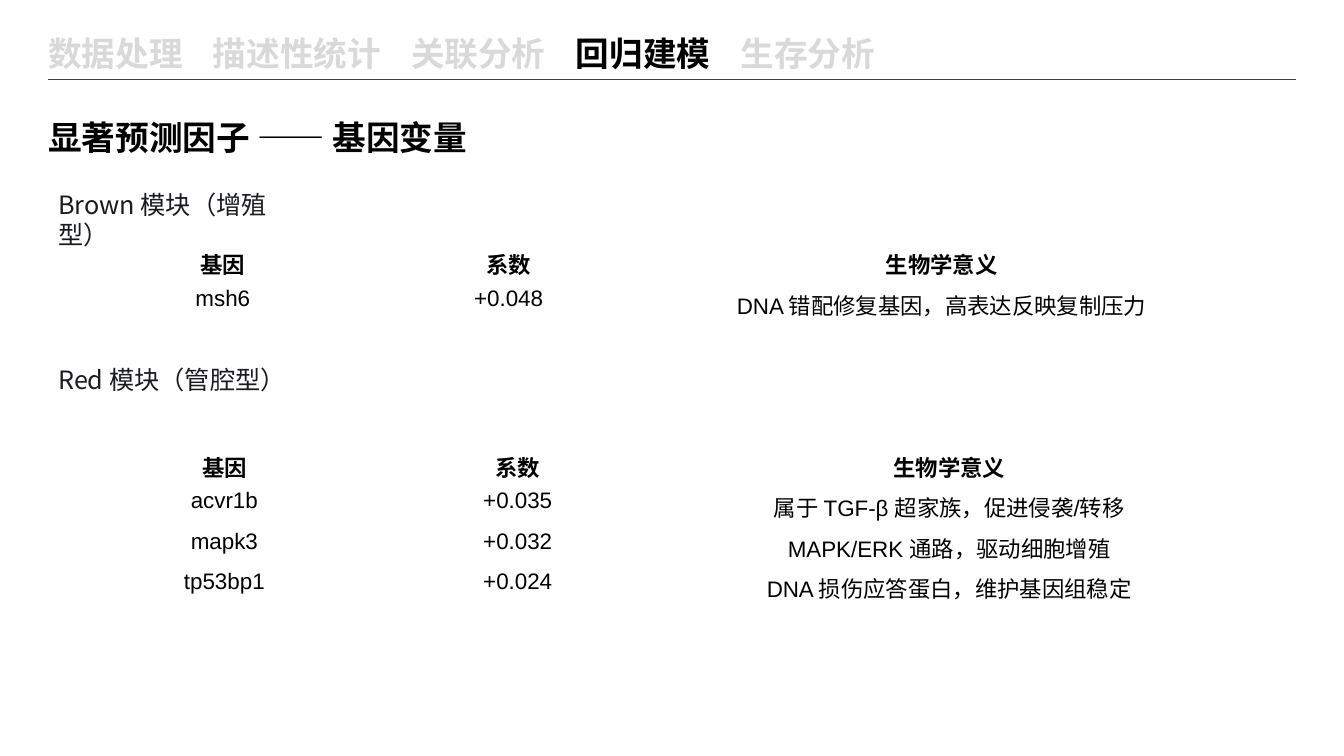
import pptx
import pptx.dml.color
import pptx.enum.shapes
import pptx.enum.text
import pptx.oxml.ns
import pptx.util
import lxml.etree

Inches = pptx.util.Inches
BLACK = pptx.dml.color.RGBColor(0x00, 0x00, 0x00)
INACTIVE = pptx.dml.color.RGBColor(0xD9, 0xD9, 0xD9)
RULE = pptx.dml.color.RGBColor(0x40, 0x40, 0x40)
LABEL = pptx.dml.color.RGBColor(0x19, 0x1B, 0x1F)
LATIN_FONT = "Arial"
CHINESE_FONT = "Noto Sans CJK SC"


def add_span(para, text, size, color, bold=False, font=LATIN_FONT):
    span = para.add_run()
    span.text = text
    span.font.size = pptx.util.Pt(size)
    span.font.bold = bold
    span.font.name = font
    span.font.color.rgb = color
    east_asian = lxml.etree.SubElement(span.font._element, pptx.oxml.ns.qn("a:ea"))
    east_asian.set("typeface", CHINESE_FONT)


def add_box(page, left, top, width, height):
    box = page.shapes.add_textbox(Inches(left), Inches(top), Inches(width), Inches(height))
    box.text_frame.word_wrap = True
    return box.text_frame.paragraphs[0]


deck = pptx.Presentation()
deck.slide_width = Inches(13.33)
deck.slide_height = Inches(7.5)
page = deck.slides.add_slide(deck.slide_layouts[5])

# Section navigation, spaced by tab stops
sections = ["数据处理", "描述性统计", "关联分析", "回归建模", "生存分析"]
active_section = "回归建模"
para = add_box(page, 0.38, 0.28, 12.56, 0.5)
tab_list = lxml.etree.SubElement(para._p.get_or_add_pPr(), pptx.oxml.ns.qn("a:tabLst"))
tab_position = 0
for index, section in enumerate(sections):
    if index:
        tab = lxml.etree.SubElement(tab_list, pptx.oxml.ns.qn("a:tab"))
        tab.set("pos", str(Inches(tab_position)))
        tab.set("algn", "l")
        add_span(para, "\t", 24, INACTIVE, bold=True)
    color = BLACK if section == active_section else INACTIVE
    add_span(para, section, 24, color, bold=True)
    tab_position += len(section) * 24 / 72 + 0.3

# Rule under the navigation
rule = page.shapes.add_connector(
    pptx.enum.shapes.MSO_CONNECTOR.STRAIGHT,
    Inches(0.48), Inches(0.79), Inches(12.85), Inches(0.79))
rule.line.color.rgb = RULE
rule.line.width = pptx.util.Pt(1.25)
lxml.etree.SubElement(rule._element.spPr, pptx.oxml.ns.qn("a:effectLst"))

# Title
title = page.shapes.title
title.left, title.top = Inches(0.38), Inches(1.11)
title.width, title.height = Inches(7.58), Inches(0.5)
title.text_frame.auto_size = pptx.enum.text.MSO_AUTO_SIZE.NONE
title.text_frame.vertical_anchor = pptx.enum.text.MSO_ANCHOR.TOP
para = title.text_frame.paragraphs[0]
para.alignment = pptx.enum.text.PP_ALIGN.LEFT
add_span(para, "显著预测因子 —— 基因变量", 24, BLACK, bold=True)

# Gene modules: label, label top, table top, column widths, genes
header = ("基因", "系数", "生物学意义")
modules = [
    ("Brown 模块（增殖型）", 1.83, 2.3, (2.88, 2.79, 5.8), [
        ("msh6", "+0.048", "DNA 错配修复基因，高表达反映复制压力"),
    ]),
    ("Red 模块（管腔型）", 3.57, 4.31, (2.91, 2.91, 5.65), [
        ("acvr1b", "+0.035", "属于 TGF-β 超家族，促进侵袭/转移"),
        ("mapk3", "+0.032", "MAPK/ERK 通路，驱动细胞增殖"),
        ("tp53bp1", "+0.024", "DNA 损伤应答蛋白，维护基因组稳定"),
    ]),
]
row_height = 0.4
for label, label_top, table_top, widths, genes in modules:
    para = add_box(page, 0.48, label_top, 2.76, 0.4)
    add_span(para, label, 18, LABEL, font=CHINESE_FONT)

    rows = [header] + genes
    table = page.shapes.add_table(
        len(rows), len(header), Inches(0.77), Inches(table_top),
        Inches(sum(widths)), Inches(row_height * len(rows))).table
    table.first_row = False
    table.horz_banding = False
    for column, width in zip(table.columns, widths):
        column.width = Inches(width)
    for row_index, row in enumerate(rows):
        table.rows[row_index].height = Inches(row_height)
        for column_index, text in enumerate(row):
            cell = table.cell(row_index, column_index)
            cell.vertical_anchor = pptx.enum.text.MSO_ANCHOR.MIDDLE
            cell.margin_left = cell.margin_right = 0
            cell.margin_top = cell.margin_bottom = 0
            # Borders off, so that no white grid line crosses the text
            properties = cell._tc.get_or_add_tcPr()
            for side in ("a:lnL", "a:lnR", "a:lnT", "a:lnB"):
                border = lxml.etree.SubElement(properties, pptx.oxml.ns.qn(side))
                border.set("w", "0")
                lxml.etree.SubElement(border, pptx.oxml.ns.qn("a:noFill"))
            cell.fill.background()
            para = cell.text_frame.paragraphs[0]
            para.alignment = pptx.enum.text.PP_ALIGN.CENTER
            para.line_spacing = 1.5
            add_span(para, text, 16, BLACK, bold=row_index == 0)

deck.save("out.pptx")
